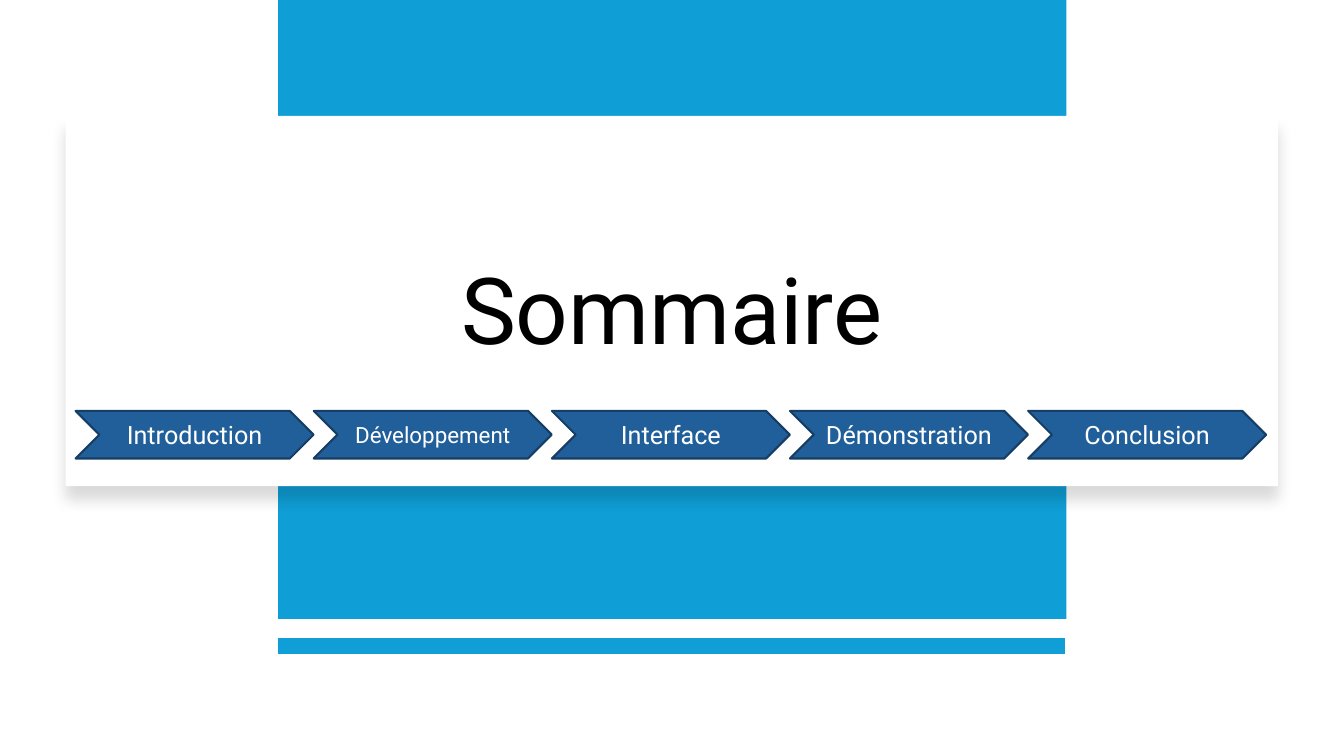
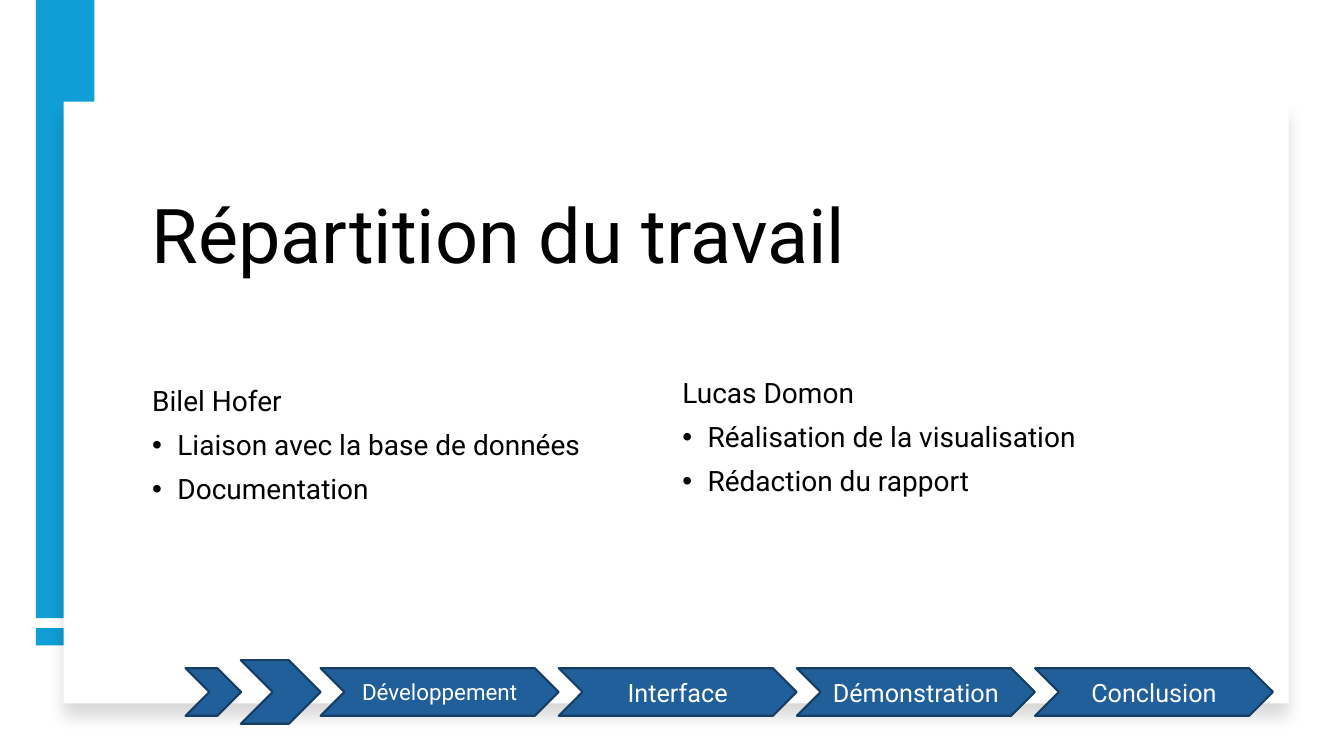
from lxml.etree import SubElement
from pptx import Presentation
from pptx.dml.color import RGBColor
from pptx.enum.shapes import MSO_CONNECTOR, MSO_SHAPE
from pptx.enum.text import MSO_ANCHOR, MSO_AUTO_SIZE, PP_ALIGN
from pptx.oxml.ns import qn
from pptx.util import Pt

FONT = "Roboto"
BLACK = RGBColor(0x00, 0x00, 0x00)
WHITE = RGBColor(0xFF, 0xFF, 0xFF)
SKY = RGBColor(0x0F, 0x9E, 0xD5)
STEP_FILL = RGBColor(0x21, 0x5F, 0x9A)
STEP_LINE = RGBColor(0x16, 0x3E, 0x64)

STEPS = {"Introduction": 18, "Développement": 16, "Interface": 18,
         "Démonstration": 18, "Conclusion": 18}
STEP_WIDTH = 170
STEP_PITCH = 170.1
STEP_HEIGHT = 34
BULLET_INDENT = Pt(18)


def write_text(frame, lines, size=18, color=BLACK, align=PP_ALIGN.LEFT,
               anchor=MSO_ANCHOR.MIDDLE, line_spacing=0.9, space_before=0):
    frame.word_wrap = True
    frame.auto_size = MSO_AUTO_SIZE.NONE
    frame.vertical_anchor = anchor
    for index, line in enumerate(lines):
        para = frame.add_paragraph() if index else frame.paragraphs[0]
        para.alignment = align
        para.line_spacing = line_spacing
        para.space_before = Pt(space_before)
        span = para.add_run()
        span.text = line
        span.font.name = FONT
        span.font.size = Pt(size)
        span.font.color.rgb = color


def place(shape, left, top, width, height):
    """Position a placeholder and bring it in front of what is drawn so far."""
    shape.left, shape.top = Pt(left), Pt(top)
    shape.width, shape.height = Pt(width), Pt(height)
    shape.element.getparent().append(shape.element)


def add_box(slide, kind, left, top, width, height, fill, outline=None):
    box = slide.shapes.add_shape(kind, Pt(left), Pt(top), Pt(width), Pt(height))
    box.fill.solid()
    box.fill.fore_color.rgb = fill
    if outline is None:
        box.line.fill.background()
    else:
        box.line.color.rgb = outline
        box.line.width = Pt(1.5)
    box.shadow.inherit = False
    return box


def add_band(slide, *bounds):
    add_box(slide, MSO_SHAPE.RECTANGLE, *bounds, SKY)


def add_panel(slide, *bounds):
    """White card with a soft shadow below it."""
    panel = add_box(slide, MSO_SHAPE.RECTANGLE, *bounds, WHITE)
    effects = panel.element.spPr.find(qn("a:effectLst"))
    shadow = SubElement(effects, qn("a:outerShdw"), blurRad=str(Pt(11)),
                        dist=str(Pt(10)), dir="5400000", algn="t", rotWithShape="0")
    color = SubElement(shadow, qn("a:srgbClr"), val=str(BLACK))
    SubElement(color, qn("a:alpha"), val="15000")


def add_rule(slide, left, right, y, width):
    rule = slide.shapes.add_connector(
        MSO_CONNECTOR.STRAIGHT, Pt(left), Pt(y), Pt(right), Pt(y))
    rule.line.color.rgb = SKY
    rule.line.width = Pt(width)
    SubElement(rule.element.spPr, qn("a:effectLst"))


def add_chevron(slide, *bounds):
    return add_box(slide, MSO_SHAPE.CHEVRON, *bounds, STEP_FILL, STEP_LINE)


def add_steps(slide, labels, left, top):
    for index, label in enumerate(labels):
        chevron = add_chevron(slide, left + index * STEP_PITCH, top,
                              STEP_WIDTH, STEP_HEIGHT)
        write_text(chevron.text_frame, [label], size=STEPS[label], color=WHITE,
                   align=PP_ALIGN.CENTER, line_spacing=1.0)


def fill_tasks(body, person, tasks, left, top):
    """Name on the first line, then one bullet for each task."""
    place(body, left, top, 379, 181)
    write_text(body.text_frame, [person, *tasks], size=20, space_before=10)
    for index, para in enumerate(body.text_frame.paragraphs):
        properties = para._p.get_or_add_pPr()
        if index:
            properties.set("marL", str(BULLET_INDENT))
            properties.set("indent", str(-BULLET_INDENT))
            SubElement(properties, qn("a:buFont"), typeface="Arial")
            SubElement(properties, qn("a:buChar"), char="•")
        else:
            properties.set("marL", "0")
            properties.set("indent", "0")
            SubElement(properties, qn("a:buNone"))


def build_summary(deck):
    slide = deck.slides.add_slide(deck.slide_layouts[5])
    add_rule(slide, 198.7, 761, 461.5, 12)
    add_band(slide, 198.7, 0, 563, 442)
    add_panel(slide, 46.8, 82.8, 866, 264.5)
    title = slide.shapes.title
    place(title, 120, 124.5, 720, 201)
    write_text(title.text_frame, ["Sommaire"], size=66, align=PP_ALIGN.CENTER)
    add_steps(slide, STEPS, 54, 293.5)


def build_work_split(deck):
    slide = deck.slides.add_slide(deck.slide_layouts[3])
    add_band(slide, 25.7, 448.7, 41.8, 12.4)
    add_band(slide, 25.7, 0, 41.8, 441.5)
    add_panel(slide, 45.5, 72.5, 875, 430)
    title, left_body, right_body = slide.placeholders
    place(title, 101, 97, 775.5, 106.5)
    write_text(title.text_frame, ["Répartition du travail"], size=54,
               anchor=MSO_ANCHOR.BOTTOM)
    fill_tasks(left_body, "Bilel Hofer",
               ["Liaison avec la base de données", "Documentation"], 101.5, 228.3)
    fill_tasks(right_body, "Lucas Domon",
               ["Réalisation de la visualisation", "Rédaction du rapport"],
               480.2, 222.5)
    add_steps(slide, list(STEPS)[1:], 229, 477.3)
    add_chevron(slide, 172, 471.5, 57, 45.5)
    add_chevron(slide, 132.5, 477.3, 39.7, STEP_HEIGHT)


def main():
    deck = Presentation()
    deck.slide_width, deck.slide_height = Pt(960), Pt(540)
    build_summary(deck)
    build_work_split(deck)
    deck.save("out.pptx")


if __name__ == "__main__":
    main()
